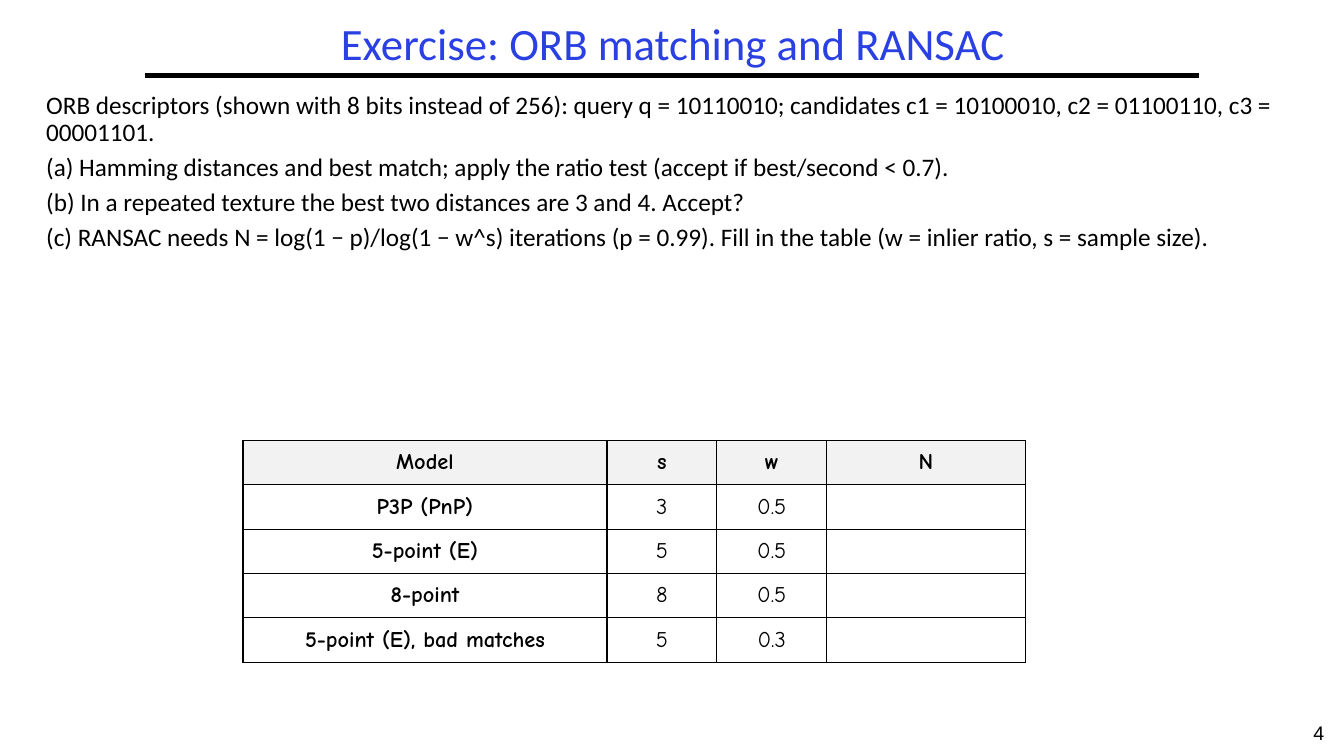
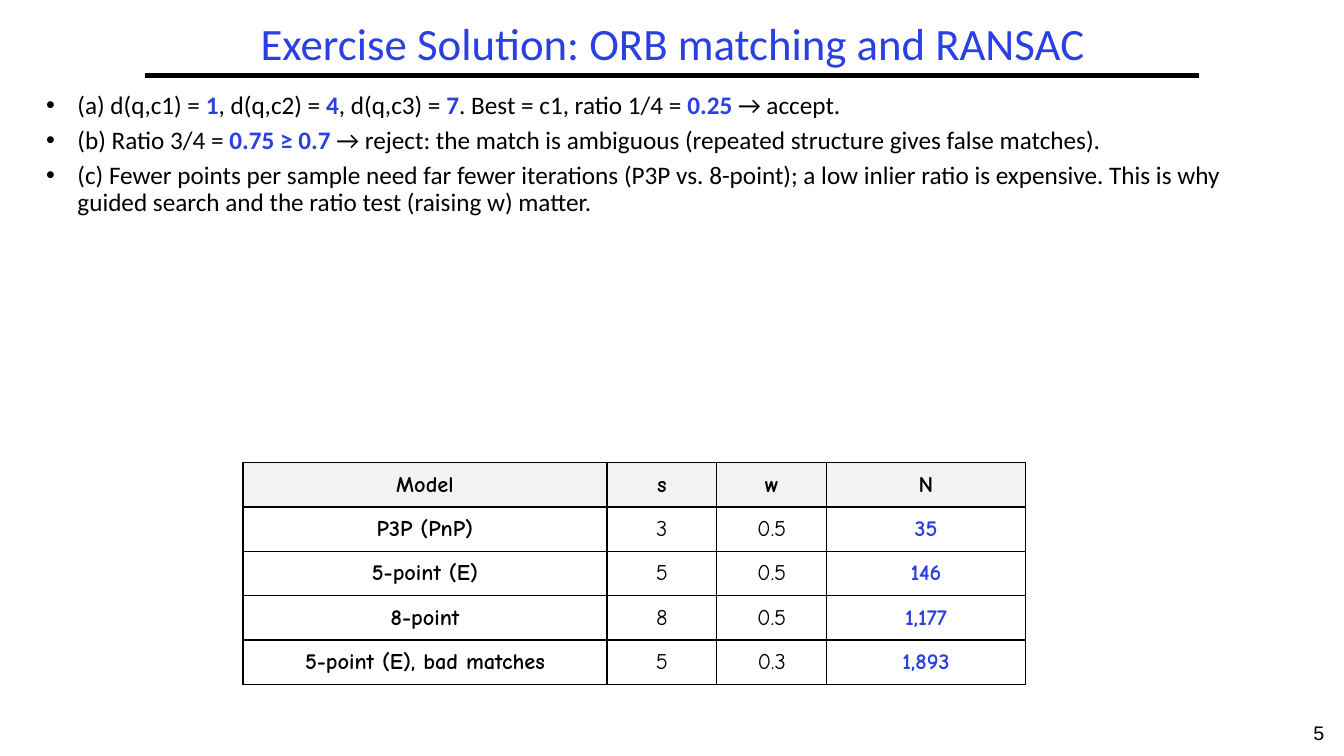
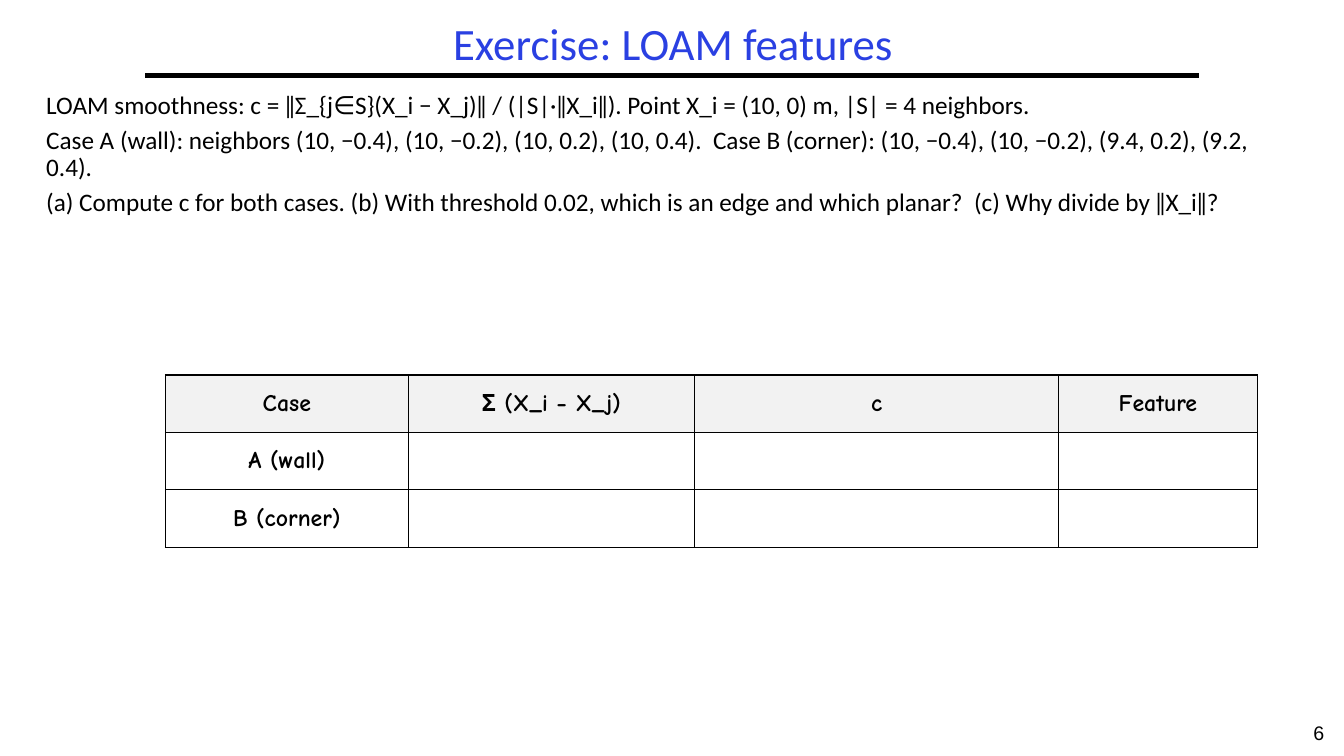
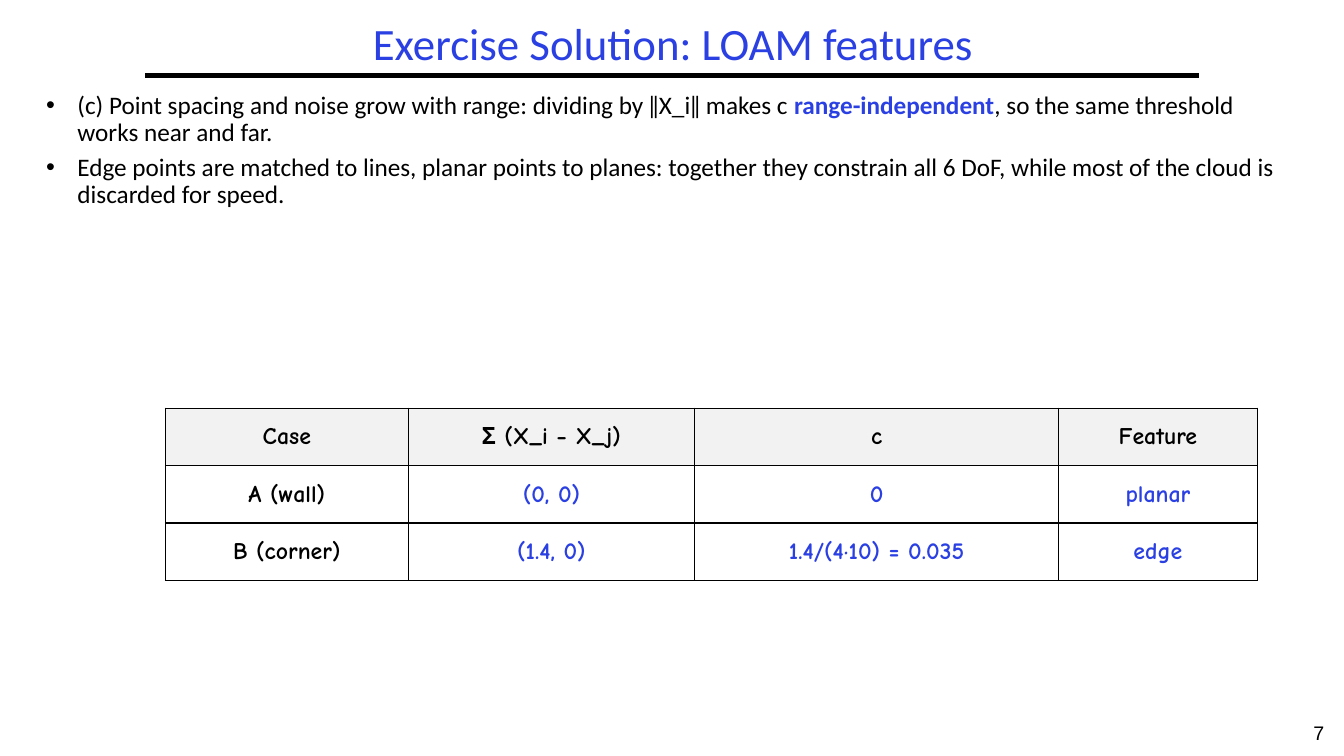
"""Build four exercise slides on ORB matching, RANSAC and LOAM features."""
from lxml.etree import SubElement
from pptx import Presentation
from pptx.dml.color import RGBColor
from pptx.enum.shapes import MSO_CONNECTOR
from pptx.enum.text import MSO_ANCHOR, PP_ALIGN
from pptx.oxml.ns import qn
from pptx.util import Inches, Pt

BLUE, BLACK, WHITE, GREY = "2A40E2", "000000", "FFFFFF", "F2F2F2"
BODY_FONT, NUMBER_FONT, TABLE_FONT = "Calibri", "Arial", "Comic Neue"
FIRST_NUMBER = 4
MARK = "**"

RANSAC = {
    "left": 2.41, "columns": [3.61, 1.09, 1.09, 1.97], "row_height": 0.44, "size": 16,
    "header": ["Model", "s", "w", "N"],
    "given": [["P3P (PnP)", "3", "0.5"], ["5-point (E)", "5", "0.5"],
              ["8-point", "8", "0.5"], ["5-point (E), bad matches", "5", "0.3"]],
    "answers": [["35"], ["146"], ["1,177"], ["1,893"]],
}
LOAM = {
    "left": 1.64, "columns": [2.41, 2.84, 3.61, 1.97], "row_height": 0.57, "size": 17,
    "header": ["Case", "Σ (X_i − X_j)", "c", "Feature"],
    "given": [["A (wall)"], ["B (corner)"]],
    "answers": [["(0, 0)", "0", "planar"], ["(1.4, 0)", "1.4/(4·10) = 0.035", "edge"]],
}

SLIDES = [
    {"title": "Exercise: ORB matching and RANSAC", "solution": False,
     "body_height": 3.39, "table": RANSAC, "table_top": 4.37,
     "body": [
         "ORB descriptors (shown with 8 bits instead of 256): query q = 10110010; "
         "candidates c1 = 10100010, c2 = 01100110, c3 = 00001101.",
         "(a) Hamming distances and best match; apply the ratio test (accept if best/second < 0.7).",
         "(b) In a repeated texture the best two distances are 3 and 4. Accept?",
         "(c) RANSAC needs N = log(1 − p)/log(1 − w^s) iterations (p = 0.99). "
         "Fill in the table (w = inlier ratio, s = sample size)."]},
    {"title": "Exercise Solution: ORB matching and RANSAC", "solution": True,
     "body_height": 3.72, "table": RANSAC, "table_top": 4.59,
     "body": [
         "(a) d(q,c1) = **1**, d(q,c2) = **4**, d(q,c3) = **7**. "
         "Best = c1, ratio 1/4 = **0.25** → accept.",
         "(b) Ratio 3/4 = **0.75 ≥ 0.7** → reject: the match is ambiguous "
         "(repeated structure gives false matches).",
         "(c) Fewer points per sample need far fewer iterations (P3P vs. 8-point); a low inlier "
         "ratio is expensive. This is why guided search and the ratio test (raising w) matter."]},
    {"title": "Exercise: LOAM features", "solution": False,
     "body_height": 2.73, "table": LOAM, "table_top": 3.72,
     "body": [
         "LOAM smoothness: c = ‖Σ_{j∈S}(X_i − X_j)‖ / (|S|·‖X_i‖). "
         "Point X_i = (10, 0) m, |S| = 4 neighbors.",
         "Case A (wall): neighbors (10, −0.4), (10, −0.2), (10, 0.2), (10, 0.4).  "
         "Case B (corner): (10, −0.4), (10, −0.2), (9.4, 0.2), (9.2, 0.4).",
         "(a) Compute c for both cases. (b) With threshold 0.02, which is an edge "
         "and which planar?  (c) Why divide by ‖X_i‖?"]},
    {"title": "Exercise Solution: LOAM features", "solution": True,
     "body_height": 3.06, "table": LOAM, "table_top": 4.05,
     "body": [
         "(c) Point spacing and noise grow with range: dividing by ‖X_i‖ makes c "
         "**range-independent**, so the same threshold works near and far.",
         "Edge points are matched to lines, planar points to planes: together they constrain "
         "all 6 DoF, while most of the cloud is discarded for speed."]},
]


def color(value):
    return RGBColor.from_string(value)


def add_run(paragraph, text, font, size, shade=BLACK, bold=False):
    run = paragraph.add_run()
    run.text = text
    run.font.name = font
    run.font.size = Pt(size)
    run.font.bold = bold
    run.font.color.rgb = color(shade)


def add_box(slide, left, top, width, height, anchor=MSO_ANCHOR.TOP):
    box = slide.shapes.add_textbox(Inches(left), Inches(top), Inches(width), Inches(height))
    frame = box.text_frame
    frame.word_wrap = True
    frame.vertical_anchor = anchor
    return frame


def add_frame(slide, title, number):
    rule = slide.shapes.add_connector(
        MSO_CONNECTOR.STRAIGHT, Inches(1.44), Inches(0.75), Inches(11.89), Inches(0.75))
    rule.line.color.rgb = color(BLACK)
    rule.line.width = Pt(3)
    SubElement(rule._element.spPr, qn("a:effectLst"))

    paragraph = add_box(slide, 12.83, 7.1, 0.5, 0.4).paragraphs[0]
    paragraph.alignment = PP_ALIGN.CENTER
    add_run(paragraph, str(number), NUMBER_FONT, 14)

    paragraph = add_box(slide, 1.44, 0.17, 10.47, 0.58, MSO_ANCHOR.MIDDLE).paragraphs[0]
    paragraph.alignment = PP_ALIGN.CENTER
    paragraph.line_spacing = 0.9
    add_run(paragraph, title, BODY_FONT, 32, BLUE)


def add_bullet(paragraph):
    properties = paragraph._p.get_or_add_pPr()
    properties.set("marL", str(Inches(0.31)))
    properties.set("indent", str(-Inches(0.31)))
    SubElement(properties, qn("a:buFont"), typeface=NUMBER_FONT)
    SubElement(properties, qn("a:buChar"), char="•")


def add_body(slide, lines, height, bulleted):
    frame = add_box(slide, 0.36, 0.87, 12.58, height)
    for index, line in enumerate(lines):
        paragraph = frame.add_paragraph() if index else frame.paragraphs[0]
        if bulleted:
            add_bullet(paragraph)
        paragraph.line_spacing = 0.9
        if index:
            paragraph.space_before = Pt(5.4)
        for part, text in enumerate(line.split(MARK)):
            marked = part % 2 == 1
            add_run(paragraph, text, BODY_FONT, 18, BLUE if marked else BLACK, marked)


def add_borders(cell):
    properties = cell._tc.get_or_add_tcPr()
    for side in ("a:lnL", "a:lnR", "a:lnT", "a:lnB"):
        line = SubElement(properties, qn(side), w=str(Pt(1)))
        fill = SubElement(line, qn("a:solidFill"))
        SubElement(fill, qn("a:srgbClr"), val=BLACK)


def fill_cell(cell, text, size, background, shade, bold):
    add_borders(cell)
    cell.fill.solid()
    cell.fill.fore_color.rgb = color(background)
    cell.vertical_anchor = MSO_ANCHOR.MIDDLE
    cell.margin_left = cell.margin_right = Inches(0.07)
    cell.margin_top = cell.margin_bottom = Inches(0.03)
    paragraph = cell.text_frame.paragraphs[0]
    paragraph.alignment = PP_ALIGN.CENTER
    if text:
        add_run(paragraph, text, TABLE_FONT, size, shade, bold)


def add_grid(slide, data, top, solved):
    rows = [data["header"]]
    for given, answers in zip(data["given"], data["answers"]):
        rows.append(given + (answers if solved else [""] * len(answers)))
    widths, height = data["columns"], data["row_height"]
    table = slide.shapes.add_table(
        len(rows), len(widths), Inches(data["left"]), Inches(top),
        Inches(sum(widths)), Inches(height * len(rows))).table
    table.first_row = table.horz_banding = False
    for column, width in zip(table.columns, widths):
        column.width = Inches(width)
    given_count = len(data["given"][0])
    for row_index, texts in enumerate(rows):
        table.rows[row_index].height = Inches(height)
        is_header = row_index == 0
        for column_index, text in enumerate(texts):
            is_answer = not is_header and column_index >= given_count
            bold = is_header or is_answer or column_index == 0
            fill_cell(table.cell(row_index, column_index), text, data["size"],
                      GREY if is_header else WHITE, BLUE if is_answer else BLACK, bold)


def main():
    presentation = Presentation()
    presentation.slide_width = Inches(13.33)
    presentation.slide_height = Inches(7.5)
    for number, content in enumerate(SLIDES, FIRST_NUMBER):
        slide = presentation.slides.add_slide(presentation.slide_layouts[6])
        add_frame(slide, content["title"], number)
        add_body(slide, content["body"], content["body_height"], content["solution"])
        add_grid(slide, content["table"], content["table_top"], content["solution"])
    presentation.save("out.pptx")


if __name__ == "__main__":
    main()
